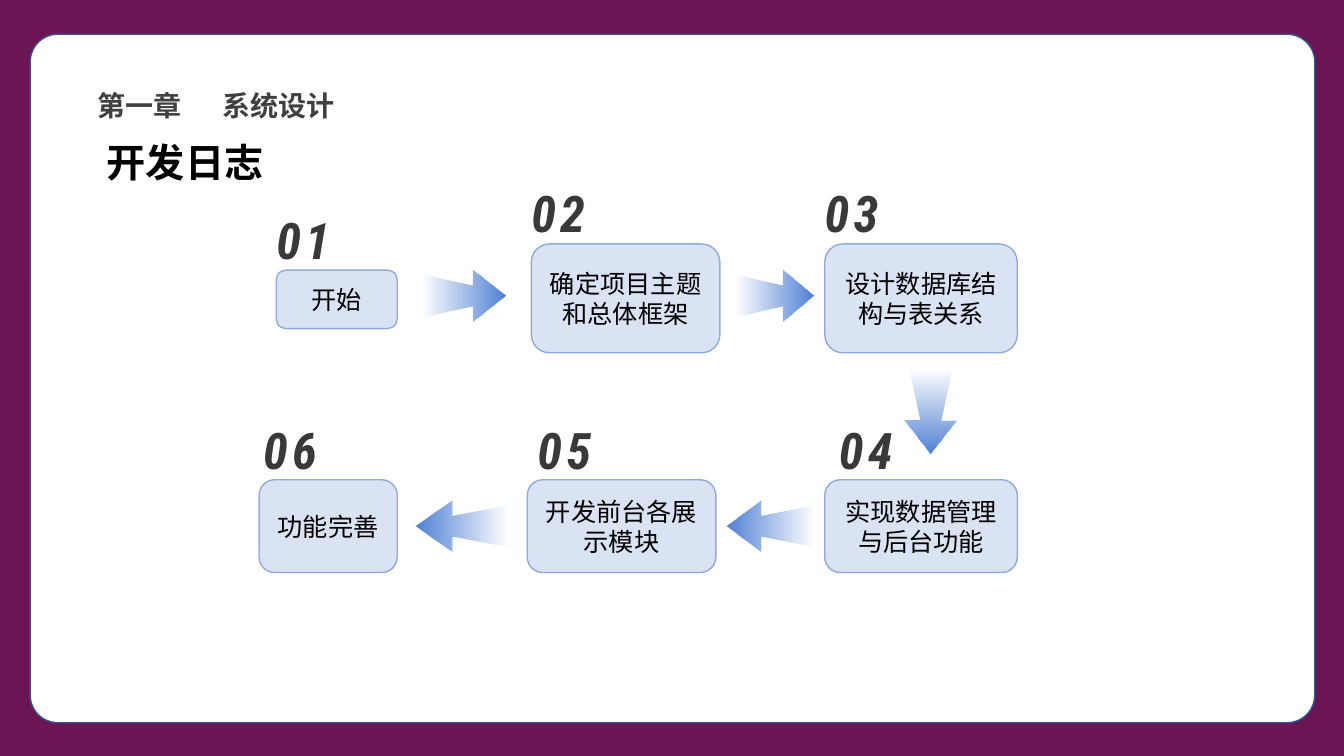
from lxml import etree
from pptx import Presentation
from pptx import util as u
from pptx.dml.color import RGBColor
from pptx.enum import shapes, text
from pptx.oxml.ns import qn

COLOURS = {
    "frame": "6B1554", "panel": "FFFFFF", "panel_line": "325491",
    "step": "DAE3F3", "step_line": "8FAADC", "arrow": "0149C1",
    "black": "000000", "chapter": "404040", "number": "3B3838",
}
CJK, NUMERAL = "Noto Sans CJK SC", "Roboto Condensed"

# Label, box (left, top, width, height), number position
STEPS = [
    ("开始", (2.74, 2.68, 1.2, 0.58), (2.74, 2.07)),
    ("确定项目主题和总体框架", (5.27, 2.42, 1.87, 1.08), (5.27, 1.81)),
    ("设计数据库结构与表关系", (8.18, 2.42, 1.91, 1.08), (8.18, 1.81)),
    ("实现数据管理与后台功能", (8.18, 4.76, 1.91, 0.92), (8.32, 4.16)),
    ("开发前台各展示模块", (5.23, 4.76, 1.87, 0.92), (5.33, 4.16)),
    ("功能完善", (2.57, 4.76, 1.37, 0.92), (2.61, 4.16)),
]
# Centre x, centre y, length, rotation from pointing up
ARROWS = [
    (4.6, 2.93, 0.82, 90), (7.68, 2.93, 0.77, 90), (9.23, 4.08, 0.83, 180),
    (7.64, 5.22, 0.86, 270), (4.58, 5.22, 0.91, 270),
]


def colour(name):
    return RGBColor.from_string(COLOURS[name])


def write(box, words, *, size, ink="black", font=CJK, bold=False, italic=False,
          spacing=0, align="LEFT", anchor="TOP", wrap=True, grow=False, inset=None):
    frame = box.text_frame
    frame.word_wrap = wrap
    frame.auto_size = (text.MSO_AUTO_SIZE.SHAPE_TO_FIT_TEXT if grow
                       else text.MSO_AUTO_SIZE.NONE)
    frame.vertical_anchor = text.MSO_ANCHOR[anchor]
    if inset is not None:
        frame.margin_left = frame.margin_right = u.Inches(inset)
        frame.margin_top = frame.margin_bottom = u.Inches(inset)
    para = frame.paragraphs[0]
    para.alignment = text.PP_ALIGN[align]
    span = para.add_run()
    span.text = words
    span.font.size = u.Pt(size)
    span.font.bold, span.font.italic = bold, italic
    span.font.color.rgb = colour(ink)
    span.font.name = font
    properties = span.font._element
    etree.SubElement(properties, qn("a:ea")).set("typeface", font)
    if spacing:
        properties.set("spc", str(spacing * 100))


class Board:
    def __init__(self, deck):
        self.slide = deck.slides.add_slide(deck.slide_layouts[5])
        self.shapes = self.slide.shapes

    def panel(self, kind, place, fill, line=None):
        box = self.shapes.add_shape(kind, *map(u.Inches, place))
        box.shadow.inherit = False
        box.fill.solid()
        box.fill.fore_color.rgb = colour(fill)
        if line:
            box.line.color.rgb = colour(line)
            box.line.width = u.Pt(1)
        else:
            box.line.fill.background()
        return box

    def title(self, words, place, **style):
        box = self.shapes.title
        box.left, box.top, box.width, box.height = map(u.Inches, place)
        write(box, words, **style)
        # Bring the title in front of the panel
        box.element.getparent().append(box.element)

    def label(self, words, place, **style):
        write(self.shapes.add_textbox(*map(u.Inches, place)), words, **style)

    def arrow(self, x, y, length, rotation):
        width, neck = 0.51, 0.4 * length
        # Offsets from the tip of an arrow that points up
        outline = [(0.5, neck), (0.2, neck), (0.41, length),
                   (-0.41, length), (-0.2, neck), (-0.5, neck)]
        top = y - length / 2
        builder = self.shapes.build_freeform(u.Inches(x), u.Inches(top))
        builder.add_line_segments(
            [(u.Inches(x + across * width), u.Inches(top + down))
             for across, down in outline], close=True)
        shape = builder.convert_to_shape()
        shape.shadow.inherit = False
        shape.line.fill.background()
        shape.rotation = rotation
        # Fade from a clear tail to a strong head
        shape.fill.gradient()
        shape.fill.gradient_angle = 90
        for stop, opacity in zip(shape.fill.gradient_stops, (0, 70)):
            stop.color.rgb = colour("arrow")
        for tint, opacity in zip(shape.element.spPr.iter(qn("a:srgbClr")), (0, 70)):
            etree.SubElement(tint, qn("a:alpha")).set("val", str(opacity * 1000))


def main():
    deck = Presentation()
    deck.slide_width, deck.slide_height = u.Inches(13.33), u.Inches(7.5)
    board = Board(deck)
    rounded = shapes.MSO_SHAPE.ROUNDED_RECTANGLE

    # Frame and white panel
    board.panel(shapes.MSO_SHAPE.RECTANGLE, (0, 0, 13.33, 7.5), "frame")
    panel = board.panel(rounded, (0.3, 0.34, 12.74, 6.83), "panel", "panel_line")
    panel.adjustments[0] = 0.04

    # Headings
    board.title("开发日志", (0.96, 1.32, 4.85, 0.57), size=28, bold=True, grow=True)
    for words, left, width in (("第一章", 0.87, 1.04), ("系统设计", 2.11, 1.31)):
        board.label(words, (left, 0.83, width, 0.44), size=20, ink="chapter",
                    bold=True, wrap=False, grow=True)

    # Numbered steps
    for number, (words, place, corner) in enumerate(STEPS, 1):
        box = board.panel(rounded, place, "step", "step_line")
        write(box, words, size=18, align="CENTER", anchor="MIDDLE")
        board.label(f"{number:02}", (*corner, 0.55, 0.51), size=36, ink="number",
                    font=NUMERAL, bold=True, italic=True, spacing=3,
                    wrap=False, inset=0)

    # Arrows between steps
    for arrow in ARROWS:
        board.arrow(*arrow)

    deck.save("out.pptx")


if __name__ == "__main__":
    main()
